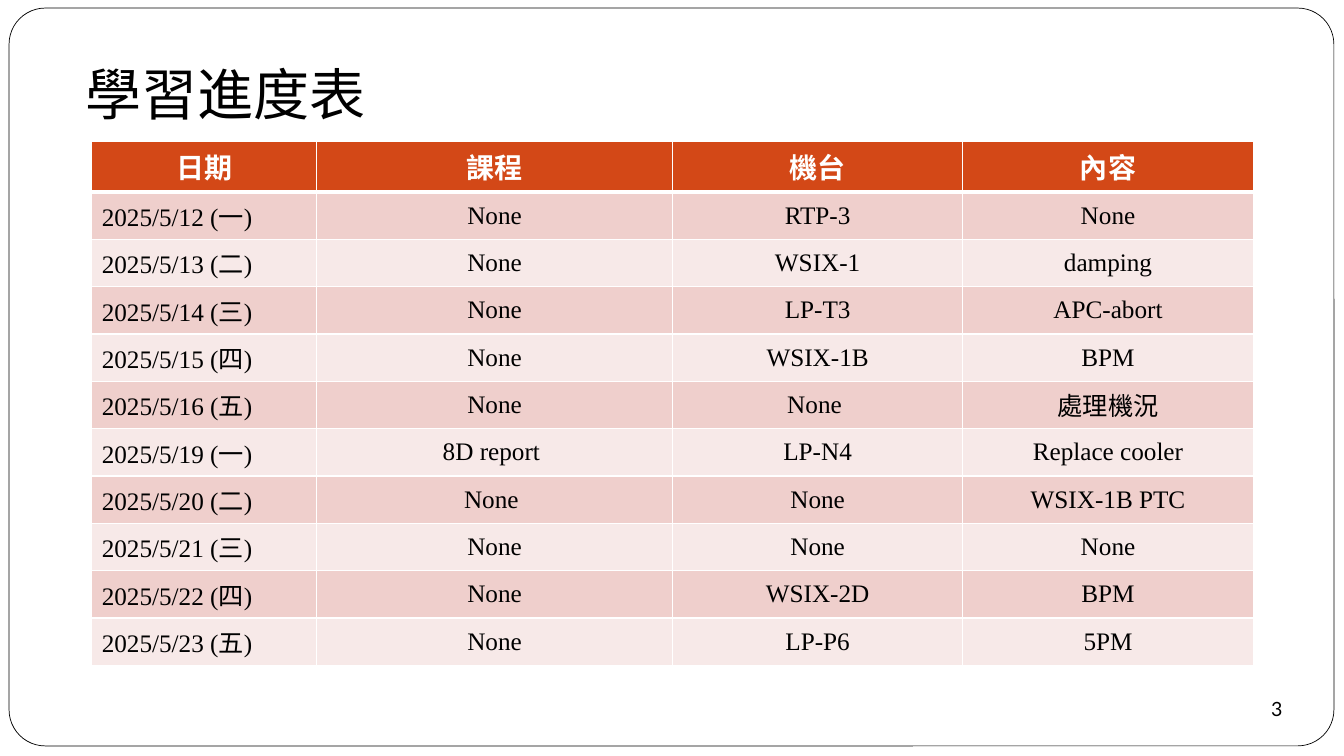
"""Build the learning schedule slide."""
from dataclasses import dataclass

from lxml import etree
from pptx import Presentation
from pptx.dml.color import RGBColor
from pptx.enum.shapes import MSO_SHAPE
from pptx.enum.text import MSO_ANCHOR, MSO_AUTO_SIZE, PP_ALIGN
from pptx.oxml.ns import qn
from pptx.shapes.autoshape import Shape
from pptx.slide import Slide
from pptx.table import _Cell
from pptx.text.text import TextFrame
from pptx.util import Inches, Pt

ROUNDED, ELLIPSE = MSO_SHAPE.ROUNDED_RECTANGLE, MSO_SHAPE.OVAL
MIDDLE = MSO_ANCHOR.MIDDLE
LEFT, CENTER = PP_ALIGN.LEFT, PP_ALIGN.CENTER
FIT_SHAPE = MSO_AUTO_SIZE.SHAPE_TO_FIT_TEXT

WHITE = RGBColor(0xFF, 0xFF, 0xFF)
BLACK = RGBColor(0x00, 0x00, 0x00)
HEADER_ORANGE = RGBColor(0xD3, 0x48, 0x17)
BAND_COLORS = (RGBColor(0xEF, 0xCF, 0xCC), RGBColor(0xF7, 0xE9, 0xE8))
TITLE_FONT = "Noto Sans CJK SC"

COLUMN_WIDTHS = (2.23, 3.53, 2.88, 2.88)
ROW_HEIGHT = 0.47
HEADINGS = ("日期", "課程", "機台", "內容")


@dataclass(frozen=True)
class TextStyle:
    """Describe the font and alignment of a text."""
    font: str
    size: float
    color: RGBColor = BLACK
    bold: bool = False
    alignment: PP_ALIGN = CENTER


@dataclass(frozen=True)
class StudyDay:
    """Hold one day of the schedule."""
    date: str
    course: str
    machine: str
    content: str


HEADING_STYLE = TextStyle("Times New Roman", 20, WHITE, True)
DATE_STYLE = TextStyle("Times New Roman", 18, alignment=LEFT)
ENTRY_STYLE = TextStyle("Times New Roman", 18)
TITLE_STYLE = TextStyle(TITLE_FONT, 40)
NUMBER_STYLE = TextStyle("Lato", 14)

STUDY_DAYS = (
    StudyDay("2025/5/12 (一)", "None", "RTP-3", "None"),
    StudyDay("2025/5/13 (二)", "None", "WSIX-1", "damping"),
    StudyDay("2025/5/14 (三)", "None", "LP-T3", "APC-abort"),
    StudyDay("2025/5/15 (四)", "None", "WSIX-1B", "BPM"),
    StudyDay("2025/5/16 (五)", "None", "None ", "處理機況"),
    StudyDay("2025/5/19 (一)", "8D report ", "LP-N4", "Replace cooler"),
    StudyDay("2025/5/20 (二)", "None ", "None", "WSIX-1B PTC"),
    StudyDay("2025/5/21 (三)", "None", "None", "None"),
    StudyDay("2025/5/22 (四)", "None", "WSIX-2D", "BPM"),
    StudyDay("2025/5/23 (五)", "None", "LP-P6", "5PM"),
)


def write_text(text_frame: TextFrame, text: str, style: TextStyle) -> None:
    """Write one styled paragraph."""
    paragraph = text_frame.paragraphs[0]
    paragraph.alignment = style.alignment
    run = paragraph.add_run()
    run.text = text
    font_format = {"name": style.font, "size": Pt(style.size), "bold": style.bold}
    for name, value in font_format.items():
        setattr(run.font, name, value)
    run.font.color.rgb = style.color


def add_white_shape(slide: Slide, kind: MSO_SHAPE, left: float, top: float,
                    width: float, height: float) -> Shape:
    """Add a white shape without shadow."""
    shape = slide.shapes.add_shape(
        kind, Inches(left), Inches(top), Inches(width), Inches(height))
    shape.shadow.inherit = False
    shape.fill.solid()
    shape.fill.fore_color.rgb = WHITE
    return shape


def add_frame(slide: Slide) -> None:
    """Add the rounded outline of the slide."""
    frame = add_white_shape(slide, ROUNDED, 0.09, 0.08, 13.14, 7.32)
    frame.adjustments[0] = 0.049
    frame.line.color.rgb = BLACK
    frame.line.width = Pt(0.5)


def add_slide_number(slide: Slide) -> None:
    """Add the page number in its circle."""
    circle = add_white_shape(slide, ELLIPSE, 12.33, 6.78, 0.67, 0.5)
    circle.line.fill.background()
    frame_format = {"margin_left": 0, "margin_top": 0, "margin_right": 0,
                    "margin_bottom": 0, "word_wrap": False, "vertical_anchor": MIDDLE}
    for name, value in frame_format.items():
        setattr(circle.text_frame, name, value)
    write_text(circle.text_frame, "3", NUMBER_STYLE)


def add_title(slide: Slide) -> None:
    """Add the slide title."""
    title = slide.shapes.add_textbox(Inches(0.65), Inches(0.54), Inches(3.18), Inches(0.77))
    title.text_frame.word_wrap = True
    title.text_frame.auto_size = FIT_SHAPE
    write_text(title.text_frame, "學習進度表", TITLE_STYLE)
    run_properties = title.text_frame.paragraphs[0].runs[0].font._element
    etree.SubElement(run_properties, qn("a:ea"), typeface=TITLE_FONT)


def add_borders(cell: _Cell, top: float, bottom: float) -> None:
    """Add white borders with the given top and bottom widths."""
    properties = cell._tc.get_or_add_tcPr()
    for side, width in {"L": 1, "R": 1, "T": top, "B": bottom}.items():
        line = etree.SubElement(properties, qn(f"a:ln{side}"), w=str(Pt(width)))
        fill = etree.SubElement(line, qn("a:solidFill"))
        etree.SubElement(fill, qn("a:srgbClr"), val=str(WHITE))


def add_schedule(slide: Slide) -> None:
    """Add the table of study days."""
    rows = [HEADINGS] + [(day.date, day.course, day.machine, day.content)
                         for day in STUDY_DAYS]
    table = slide.shapes.add_table(
        len(rows), len(HEADINGS), Inches(0.91), Inches(1.4),
        Inches(sum(COLUMN_WIDTHS)), Inches(ROW_HEIGHT * len(rows))).table
    for column, width in zip(table.columns, COLUMN_WIDTHS):
        column.width = Inches(width)
    for row_index, texts in enumerate(rows):
        table.rows[row_index].height = Inches(ROW_HEIGHT)
        is_header = row_index == 0
        color = HEADER_ORANGE if is_header else BAND_COLORS[(row_index - 1) % 2]
        for column_index, text in enumerate(texts):
            cell = table.cell(row_index, column_index)
            cell.vertical_anchor = MIDDLE
            add_borders(cell, 3 if row_index == 1 else 1, 3 if is_header else 1)
            cell.fill.solid()
            cell.fill.fore_color.rgb = color
            body_style = DATE_STYLE if column_index == 0 else ENTRY_STYLE
            write_text(cell.text_frame, text, HEADING_STYLE if is_header else body_style)


def main() -> None:
    """Create and save the presentation."""
    presentation = Presentation()
    presentation.slide_width = Inches(13.33)
    presentation.slide_height = Inches(7.5)
    slide = presentation.slides.add_slide(presentation.slide_layouts[6])
    add_frame(slide)
    add_slide_number(slide)
    add_schedule(slide)
    add_title(slide)
    presentation.save("out.pptx")


if __name__ == "__main__":
    main()
